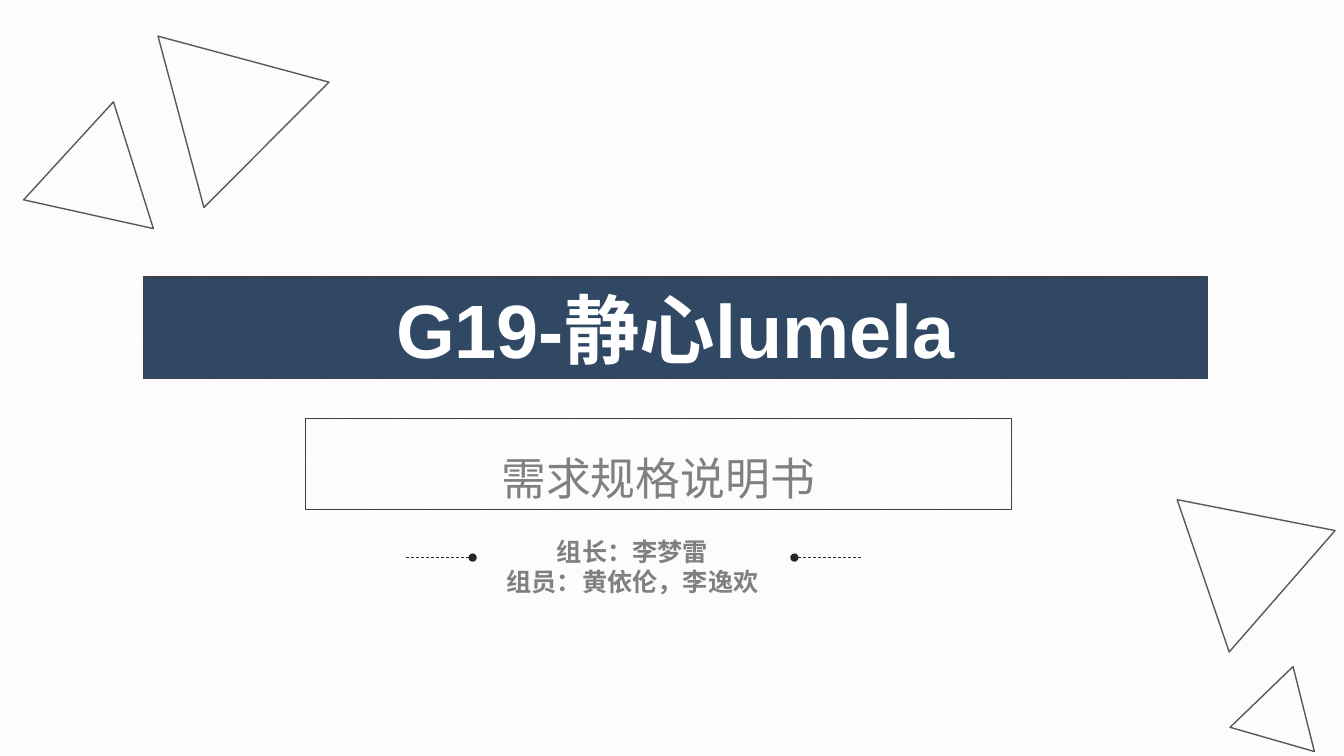
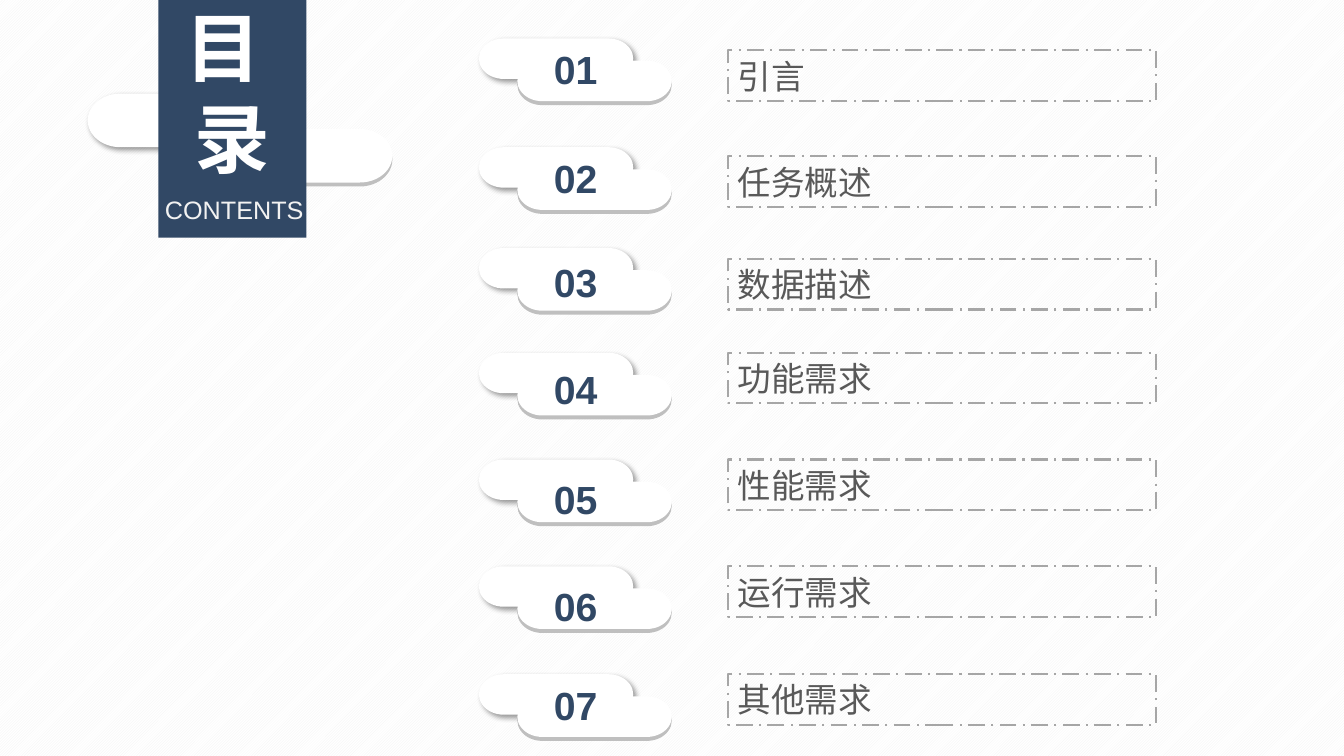
from lxml import etree
from pptx import Presentation
from pptx.dml.color import RGBColor
from pptx.enum.dml import MSO_LINE, MSO_PATTERN
from pptx.enum.shapes import MSO_CONNECTOR, MSO_SHAPE
from pptx.enum.text import MSO_ANCHOR, MSO_AUTO_SIZE, PP_ALIGN
from pptx.oxml import parse_xml
from pptx.oxml.ns import nsdecls, qn
from pptx.util import Cm, Pt

FONT = "Arial"
COLORS = {
    "navy": "314865", "white": "FFFFFF", "pale": "F2F2F2",
    "silver": "BFBFBF", "dash": "A6A6A6", "grey": "808080",
    "slate": "595959", "border": "404040", "ink": "262626",
}

TITLE = "G19-静心lumela"
SUBTITLE = "需求规格说明书"
MEMBERS = ["组长：李梦雷", "组员：黄依伦，李逸欢"]
TRIANGLES = [
    (4.19, 0.64, 4.47, 3.86, 75),
    (28.96, 11.99, 4.06, 3.51, 311.1),
    (31.22, 16.76, 2.21, 1.91, 16),
    (1.12, 3.33, 3.35, 2.9, 132.5),
]
POINTERS = [(11.91, 10.21), (20.02, 21.72)]
POINTER_TOP = 14.05

CONTENTS_TITLE = ["目 ", "录"]
CONTENTS_LABEL = "CONTENTS"
CONTENTS = [
    ("引言", 1.27, 0.97, 1.02),
    ("任务概述", 3.94, 3.71, 3.76),
    ("数据描述", 6.53, 6.25, 6.38),
    ("功能需求", 8.89, 8.89, 9.07),
    ("性能需求", 11.58, 11.58, 11.84),
    ("运行需求", 14.27, 14.27, 14.55),
    ("其他需求", 16.99, 16.99, 17.04),
]


def color(name):
    return RGBColor.from_string(COLORS[name])


def place(shape, left, top, width, height):
    shape.left, shape.top = Cm(left), Cm(top)
    shape.width, shape.height = Cm(width), Cm(height)


def style_line(line, name, width, dash=None):
    line.color.rgb = color(name)
    line.width = Pt(width)
    if dash:
        line.dash_style = dash


def add_shape(shapes, kind, box, fill=None):
    shape = shapes.add_shape(kind, *map(Cm, box))
    shape.shadow.inherit = False
    shape.line.fill.background()
    if fill:
        shape.fill.solid()
        shape.fill.fore_color.rgb = color(fill)
    else:
        shape.fill.background()
    return shape


def write(shape, lines, size, name, bold=False, align=PP_ALIGN.CENTER,
          anchor=MSO_ANCHOR.TOP, inset=True, spacing=1.0):
    frame = shape.text_frame
    frame.text = "\n".join(lines)
    frame.word_wrap = True
    frame.auto_size = MSO_AUTO_SIZE.NONE
    frame.vertical_anchor = anchor
    frame.margin_left = frame.margin_right = Cm(0.25 if inset else 0)
    frame.margin_top = frame.margin_bottom = Cm(0.13 if inset else 0)
    for paragraph in frame.paragraphs:
        paragraph.alignment = align
        paragraph.line_spacing = spacing
        paragraph.space_before = Pt(0)
        for run in paragraph.runs:
            run.font.name = FONT
            run.font.size = Pt(size)
            run.font.bold = bold
            run.font.color.rgb = color(name)


def add_text(shapes, box, lines, size, name, **options):
    write(shapes.add_textbox(*map(Cm, box)), lines, size, name, **options)


def add_slide(presentation, layout, pattern):
    slide = presentation.slides.add_slide(presentation.slide_layouts[layout])
    fill = slide.background.fill
    fill.patterned()
    fill.pattern = pattern
    fill.fore_color.rgb = color("pale")
    fill.back_color.rgb = color("white")
    return slide


def add_pointer(shapes, start, end):
    pointer = shapes.add_connector(
        MSO_CONNECTOR.STRAIGHT, Cm(start), Cm(POINTER_TOP), Cm(end), Cm(POINTER_TOP))
    style_line(pointer.line, "ink", 0.5, MSO_LINE.DASH)
    outline = pointer.element.spPr.find(qn("a:ln"))
    etree.SubElement(outline, qn("a:headEnd"), type="oval")
    etree.SubElement(pointer.element.spPr, qn("a:effectLst"))


def add_shadow(shape):
    properties = shape.element.spPr
    properties.remove(properties.find(qn("a:effectLst")))
    properties.append(parse_xml(
        f'<a:effectLst {nsdecls("a")}>'
        f'<a:outerShdw blurRad="{Pt(4)}" dist="{Pt(3)}" dir="2700000" algn="tl" rotWithShape="0">'
        '<a:srgbClr val="000000"><a:alpha val="40000"/></a:srgbClr>'
        '</a:outerShdw></a:effectLst>'))


def add_cloud(slide, left, top, width, height, shift, drop):
    shapes = slide.shapes.add_group_shape().shapes
    kind = MSO_SHAPE.FLOWCHART_TERMINATOR
    size = (width, height)
    add_shape(shapes, kind, (left + shift, top + drop + 0.1, *size), "silver")
    add_shadow(add_shape(shapes, kind, (left, top, *size), "white"))
    add_shape(shapes, kind, (left + shift, top + drop, *size), "white")
    return shapes


def build_cover(presentation):
    slide = add_slide(presentation, 0, MSO_PATTERN.DARK_UPWARD_DIAGONAL)
    title, subtitle = slide.shapes.title, slide.placeholders[1]
    place(title, 3.61, 6.98, 26.82, 2.57)
    title.fill.solid()
    title.fill.fore_color.rgb = color("navy")
    write(title, [TITLE], 54, "white", bold=True, anchor=MSO_ANCHOR.MIDDLE)
    place(subtitle, 7.7, 10.54, 17.78, 2.31)
    write(subtitle, [SUBTITLE], 32, "grey", spacing=1.5)
    for shape in (title, subtitle):
        style_line(shape.line, "border", 0.75)
    add_text(slide.shapes, (12.22, 13.51, 7.44, 1.55), MEMBERS, 18, "grey",
             bold=True, inset=False)
    for start, end in POINTERS:
        add_pointer(slide.shapes, start, end)
    for *box, angle in TRIANGLES:
        triangle = add_shape(slide.shapes, MSO_SHAPE.ISOSCELES_TRIANGLE, box)
        triangle.rotation = angle
        style_line(triangle.line, "slate", 1)


def build_contents(presentation):
    slide = add_slide(presentation, 5, MSO_PATTERN.LIGHT_UPWARD_DIAGONAL)
    shapes = slide.shapes
    title = shapes.title
    add_cloud(slide, 2.21, 2.36, 5.11, 1.35, 2.57, 0.89)
    add_shape(shapes, MSO_SHAPE.RECTANGLE, (3.99, 0, 3.73, 5.99), "navy")
    place(title, 3.99, 0, 3.73, 4.62)
    write(title, CONTENTS_TITLE, 54, "white", bold=True,
          anchor=MSO_ANCHOR.MIDDLE, inset=False)
    title.element.getparent().append(title.element)
    add_text(shapes, (4.04, 4.9, 3.73, 0.76), [CONTENTS_LABEL], 18, "pale",
             anchor=MSO_ANCHOR.MIDDLE, inset=False)
    for number, (topic, box_top, cloud_top, number_top) in enumerate(CONTENTS, 1):
        cloud = add_cloud(slide, 12.07, cloud_top, 3.89, 1.02, 0.97, 0.56)
        add_text(cloud, (13.54, number_top, 1.93, 1.45), [f"{number:02}"], 28,
                 "navy", bold=True)
        box = add_shape(shapes, MSO_SHAPE.RECTANGLE, (18.34, box_top, 10.8, 1.27))
        style_line(box.line, "dash", 1.5, MSO_LINE.LONG_DASH_DOT)
        write(box, [topic], 24, "slate", align=PP_ALIGN.JUSTIFY)


def main():
    presentation = Presentation()
    presentation.slide_width, presentation.slide_height = Cm(33.87), Cm(19.05)
    build_cover(presentation)
    build_contents(presentation)
    presentation.save("out.pptx")


if __name__ == "__main__":
    main()
